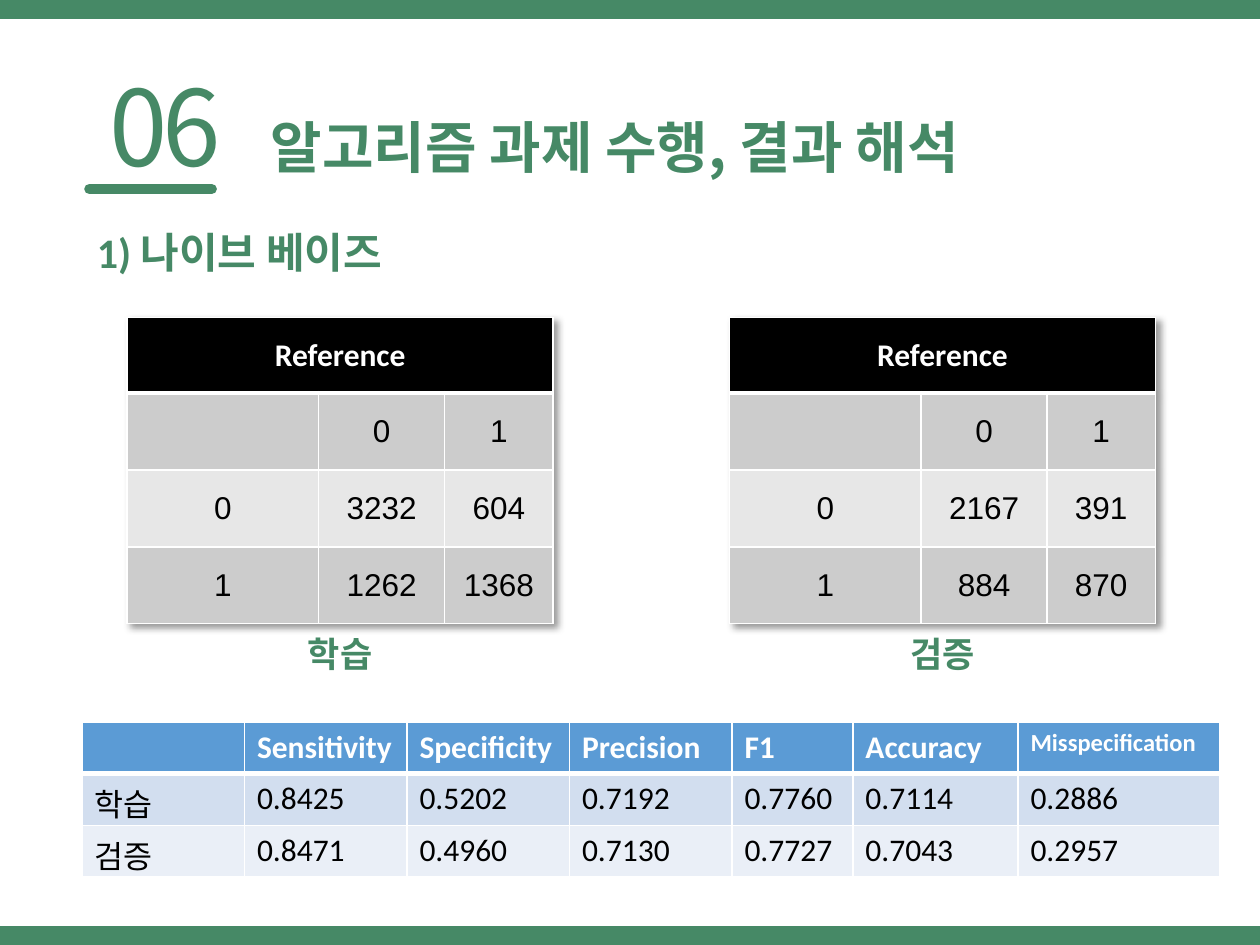
from lxml.etree import SubElement as Sub, Element
from pptx import Presentation
from pptx.dml.color import RGBColor as RGB
from pptx.enum.shapes import MSO_CONNECTOR as Conn, MSO_SHAPE as Shape
from pptx.enum.text import MSO_ANCHOR as Anchor, MSO_AUTO_SIZE as Auto, PP_ALIGN as Align
from pptx.oxml.ns import qn
from pptx.util import Inches, Pt

GREEN = RGB(0x46, 0x89, 0x66)
WHITE = RGB(255, 255, 255)
BLACK = RGB(0, 0, 0)
GRAYS = [BLACK, RGB(0xCC, 0xCC, 0xCC), RGB(0xE7, 0xE7, 0xE7)]
BLUES = [RGB(0x5B, 0x9B, 0xD5), RGB(0xD2, 0xDE, 0xEF), RGB(0xEA, 0xEF, 0xF7)]
SANS, LATIN, PLAIN = "Noto Sans CJK KR", "Calibri", "Arial"


class Deck:
    """Holds the style and the current slide."""

    def __init__(self):
        self.prs = Presentation()
        self.prs.slide_width, self.prs.slide_height = Inches(10), Inches(7.5)
        self.slide = self.prs.slides.add_slide(self.prs.slide_layouts[5])
        self.shapes = self.slide.shapes

    def font(self, para, size, name, color, bold):
        for run in para.runs:
            font = run.font
            font.size, font.name, font.bold = Pt(size), name, bold
            font.color.rgb = color
            Sub(font._element, qn("a:ea"), typeface=SANS)

    def bar(self, top):
        bar = self.shapes.add_shape(Shape.RECTANGLE, 0, Inches(top), Inches(10), Inches(0.15))
        bar.shadow.inherit = False
        bar.fill.solid()
        bar.fill.fore_color.rgb = GREEN
        bar.line.fill.background()

    def rule(self, left, right, y):
        rule = self.shapes.add_connector(
            Conn.STRAIGHT, Inches(left), Inches(y), Inches(right), Inches(y))
        rule.line.color.rgb, rule.line.width = GREEN, Pt(6)
        rule.line._get_or_add_ln().set("cap", "rnd")
        Sub(rule._element.spPr, qn("a:effectLst"))

    def text(self, box, text, size, name=SANS, bold=True, align=Align.CENTER,
             lead=None, inset=True, holder=None):
        left, top, width, height = (Inches(n) for n in box)
        item = holder or self.shapes.add_textbox(left, top, width, height)
        item.left, item.top, item.width, item.height = left, top, width, height
        frame = item.text_frame
        frame.text = text
        frame.word_wrap, frame.auto_size = True, Auto.SHAPE_TO_FIT_TEXT
        frame.vertical_anchor = Anchor.TOP
        if not inset:
            frame.margin_left = frame.margin_right = 0
            frame.margin_top = frame.margin_bottom = 0
        para = frame.paragraphs[0]
        para.alignment = align
        if lead:
            para.line_spacing = Pt(lead)
        self.font(para, size, name, GREEN, bold)
        return para

    def edges(self, cell, top, base):
        props = cell._tc.get_or_add_tcPr()
        widths = {"lnL": 1, "lnR": 1, "lnT": top, "lnB": base}
        for i, (tag, width) in enumerate(widths.items()):
            line = Element(qn("a:" + tag), w=str(Pt(width)))
            Sub(Sub(line, qn("a:solidFill")), qn("a:srgbClr"), val=str(WHITE))
            props.insert(i, line)

    def table(self, left, top, cols, rows, data, fills, body, align=None, anchor=None):
        frame = self.shapes.add_table(
            len(rows), len(cols), Inches(left), Inches(top),
            Inches(sum(cols)), Inches(sum(rows)))
        table = frame.table
        for col, width in zip(table.columns, cols):
            col.width = Inches(width)
        for row, height in zip(table.rows, rows):
            row.height = Inches(height)
        for r, line in enumerate(data):
            head = r == 0
            for c, value in enumerate(line):
                cell = table.cell(r, c)
                cell.text = value
                cell.fill.solid()
                cell.fill.fore_color.rgb = fills[0 if head else 2 - r % 2]
                cell.vertical_anchor = anchor
                para = cell.text_frame.paragraphs[0]
                para.alignment = align
                size = 14 if len(value) > 12 else 18
                self.font(para, size, LATIN if head else body,
                          WHITE if head else BLACK, head)
                self.edges(cell, 3 if r == 1 else 1, 3 if head else 1)
        return table

    def shade(self, table):
        effects = Element(qn("a:effectLst"))
        shadow = Sub(effects, qn("a:outerShdw"), blurRad=str(Pt(4)),
                     dist=str(Pt(3)), dir="2700000", algn="tl", rotWithShape="0")
        color = Sub(shadow, qn("a:prstClr"), val="black")
        Sub(color, qn("a:alpha"), val="40000")
        table._tbl.tblPr.insert(0, effects)

    def matrix(self, left, name, counts):
        data = [["Reference", "", ""], ["", "0", "1"],
                ["0", *counts[:2]], ["1", *counts[2:]]]
        table = self.table(left, 2.52, [1.52, 1, 0.86], [0.6, 0.61, 0.61, 0.61], data,
                           GRAYS, PLAIN, Align.CENTER, Anchor.MIDDLE)
        table.cell(0, 0).merge(table.cell(0, 2))
        self.shade(table)
        self.text((left + 0.7, 5.02, 1.98, 0.34), name, 20, inset=False)


def main():
    deck = Deck()

    # Frame bars
    for top in (0, 7.35):
        deck.bar(top)

    # Heading
    num = deck.text((0.06, 0.79, 1.69, 0.71), "06", 60, bold=False,
                    align=Align.RIGHT, lead=50, inset=False)
    num.runs[0].font._element.set("spc", "-300")
    deck.rule(0.71, 1.68, 1.5)
    deck.text((1.75, 1.01, 6.26, 0.42), "알고리즘 과제 수행, 결과 해석", 32,
              lead=30, inset=False, holder=deck.shapes.title)
    deck.text((0.67, 1.75, 3.73, 0.5), "1) 나이브 베이즈", 24, LATIN, align=Align.LEFT)

    # Confusion matrices
    deck.matrix(1.01, "학습", ["3232", "604", "1262", "1368"])
    deck.matrix(5.79, "검증", ["2167", "391", "884", "870"])

    # Scores
    scores = [
        ["", "Sensitivity", "Specificity", "Precision", "F1", "Accuracy", "Misspecification"],
        ["학습", "0.8425", "0.5202", "0.7192", "0.7760", "0.7114", "0.2886"],
        ["검증", "0.8471", "0.4960", "0.7130", "0.7727", "0.7043", "0.2957"],
    ]
    deck.table(0.65, 5.73, [1.29] * 4 + [0.96, 1.31, 1.6], [0.41] * 3, scores, BLUES, LATIN)

    deck.prs.save("out.pptx")


if __name__ == "__main__":
    main()
